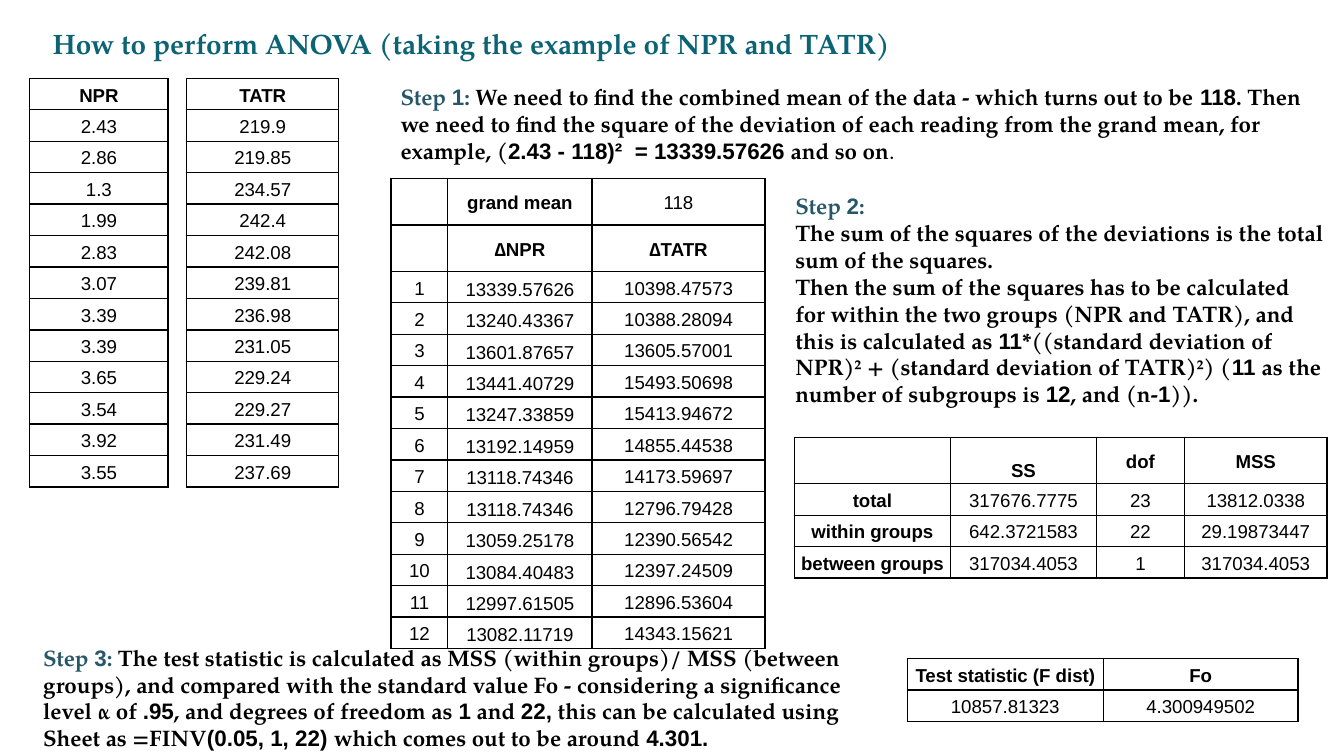
from lxml.etree import SubElement
from pptx import Presentation
from pptx.dml.color import RGBColor
from pptx.enum.text import MSO_ANCHOR, MSO_AUTO_SIZE, PP_ALIGN
from pptx.oxml.ns import qn
from pptx.util import Pt

SERIF, SANS = "TeX Gyre Pagella", "Arial"
BLACK, TITLE_TEAL, STEP_TEAL = "000000", "0B6374", "265768"
ROW, TALL_ROW = 16.85, 24.6

TITLE = "How to perform ANOVA (taking the example of NPR and TATR)"

NPR = ["2.43", "2.86", "1.3", "1.99", "2.83", "3.07",
       "3.39", "3.39", "3.65", "3.54", "3.92", "3.55"]
TATR = ["219.9", "219.85", "234.57", "242.4", "242.08", "239.81",
        "236.98", "231.05", "229.24", "229.27", "231.49", "237.69"]
NPR_SQUARES = ["13339.57626", "13240.43367", "13601.87657", "13441.40729",
               "13247.33859", "13192.14959", "13118.74346", "13118.74346",
               "13059.25178", "13084.40483", "12997.61505", "13082.11719"]
TATR_SQUARES = ["10398.47573", "10388.28094", "13605.57001", "15493.50698",
                "15413.94672", "14855.44538", "14173.59697", "12796.79428",
                "12390.56542", "12397.24509", "12896.53604", "14343.15621"]
DEVIATIONS = [["", "grand mean", "118"], ["", "∆NPR", "∆TATR"]] + [
    [str(number), npr, tatr]
    for number, (npr, tatr) in enumerate(zip(NPR_SQUARES, TATR_SQUARES), 1)]
VARIANCE = [
    ["", "SS", "dof", "MSS"],
    ["total", "317676.7775", "23", "13812.0338"],
    ["within groups", "642.3721583", "22", "29.19873447"],
    ["between groups", "317034.4053", "1", "317034.4053"],
]
TEST = [["Test statistic (F dist)", "Fo"], ["10857.81323", "4.300949502"]]

# left, top, column widths, rows, (row, column) of bottom-anchored cells
TABLES = [
    (16, 42, [74], [[value] for value in ["NPR"] + NPR], []),
    (100, 42, [81.5], [[value] for value in ["TATR"] + TATR], []),
    (209.5, 95.8, [30.4, 77.2, 92.8], DEVIATIONS,
     [(row, 1) for row in range(2, len(DEVIATIONS))]),
    (425.6, 234.4, [83.5, 78.4, 47, 76.5], VARIANCE, [(0, 1)]),
    (486, 352.8, [105, 104.4], TEST, []),
]

# left, top, width, height, paragraphs of (heading, bold text, plain ending);
# each "|" switches between the serif and the sans font
STEPS = [
    (207.5, 37.5, 497, 58, [
        ("Step |1|:", " We need to find the combined mean of the data - which "
         "turns out to be |118|. Then we need to find the square of the "
         "deviation of each reading from the grand mean, for example, "
         "(|2.43 - 118)²  = 13339.57626| and so on", ".")]),
    (419, 95.8, 298, 131, [
        ("Step |2|:", "", ""),
        ("", "The sum of the squares of the deviations is the total sum of "
         "the squares.", ""),
        ("", "Then the sum of the squares has to be calculated for within the "
         "two groups (NPR and TATR), and this is calculated as |11|*((standard "
         "deviation of NPR)² + (standard deviation of TATR)²) (|11 |as the "
         "number of subgroups is |12|, and (n-|1|)).", "")]),
    (16, 337.7, 470, 73, [
        ("Step |3|: ", "The test statistic is calculated as MSS (within "
         "groups)/ MSS (between groups), and compared with the standard value "
         "Fo - considering a significance level α of |.95|, and degrees of "
         "freedom as |1| and |22,| this can be calculated using Sheet as "
         "=FINV|(0.05, 1, 22) |which comes out to be around |4.301.", "")]),
]


def format_run(run, size, name, color, bold=True):
    run.font.size = Pt(size)
    run.font.name = name
    run.font.bold = bold
    run.font.color.rgb = RGBColor.from_string(color)


def add_border(cell):
    properties = cell._tc.get_or_add_tcPr()
    for side in ("a:lnL", "a:lnR", "a:lnT", "a:lnB"):
        line = SubElement(properties, qn(side), w=str(Pt(0.8)))
        fill = SubElement(line, qn("a:solidFill"))
        SubElement(fill, qn("a:srgbClr"), val=BLACK)


def fill_cell(cell, text, anchor):
    """Write a centred cell; words are bold, numbers are not."""
    add_border(cell)
    cell.fill.background()
    cell.margin_left = cell.margin_right = Pt(2)
    cell.margin_top = cell.margin_bottom = Pt(1.4)
    cell.vertical_anchor = anchor
    if not text:
        return
    cell.text_frame.text = text
    paragraph = cell.text_frame.paragraphs[0]
    paragraph.alignment = PP_ALIGN.CENTER
    paragraph.line_spacing = 1.15
    bold = any(letter.isalpha() for letter in text)
    format_run(paragraph.runs[0], 10, SANS, BLACK, bold)


def add_data_table(slide, left, top, widths, rows, bottom_cells):
    heights = [TALL_ROW if "" in row or "" in row[:1] else ROW for row in rows]
    table = slide.shapes.add_table(
        len(rows), len(widths), Pt(left), Pt(top),
        Pt(sum(widths)), Pt(sum(heights))).table
    table.first_row = table.horz_banding = False
    for column, width in zip(table.columns, widths):
        column.width = Pt(width)
    for row_index, (row, height) in enumerate(zip(rows, heights)):
        table.rows[row_index].height = Pt(height)
        for column_index, text in enumerate(row):
            at_bottom = (row_index, column_index) in bottom_cells
            anchor = MSO_ANCHOR.BOTTOM if at_bottom else MSO_ANCHOR.MIDDLE
            fill_cell(table.cell(row_index, column_index), text, anchor)


def set_frame(text_frame):
    text_frame.word_wrap = True
    text_frame.auto_size = MSO_AUTO_SIZE.NONE
    text_frame.vertical_anchor = MSO_ANCHOR.TOP
    text_frame.margin_left = text_frame.margin_right = Pt(7.2)
    text_frame.margin_top = text_frame.margin_bottom = Pt(7.2)


def add_step(slide, left, top, width, height, paragraphs):
    box = slide.shapes.add_textbox(Pt(left), Pt(top), Pt(width), Pt(height))
    set_frame(box.text_frame)
    for index, (heading, body, ending) in enumerate(paragraphs):
        frame = box.text_frame
        paragraph = frame.add_paragraph() if index else frame.paragraphs[0]
        for text, color, bold in ((heading, STEP_TEAL, True),
                                  (body, BLACK, True), (ending, BLACK, False)):
            for part_index, part in enumerate(text.split("|")):
                if part:
                    run = paragraph.add_run()
                    run.text = part
                    name = SANS if part_index % 2 else SERIF
                    format_run(run, 12, name, color, bold)


def main():
    presentation = Presentation()
    presentation.slide_width, presentation.slide_height = Pt(720), Pt(405)
    slide = presentation.slides.add_slide(presentation.slide_layouts[5])

    title = slide.shapes.title
    title.left, title.top, title.width, title.height = (
        Pt(21), Pt(7.2), Pt(538.6), Pt(32.4))
    title.text_frame.text = TITLE
    set_frame(title.text_frame)
    title.text_frame.paragraphs[0].alignment = PP_ALIGN.LEFT
    format_run(title.text_frame.paragraphs[0].runs[0], 15, SERIF, TITLE_TEAL)

    for table in TABLES:
        add_data_table(slide, *table)
    for step in STEPS:
        add_step(slide, *step)
    presentation.save("out.pptx")


if __name__ == "__main__":
    main()
